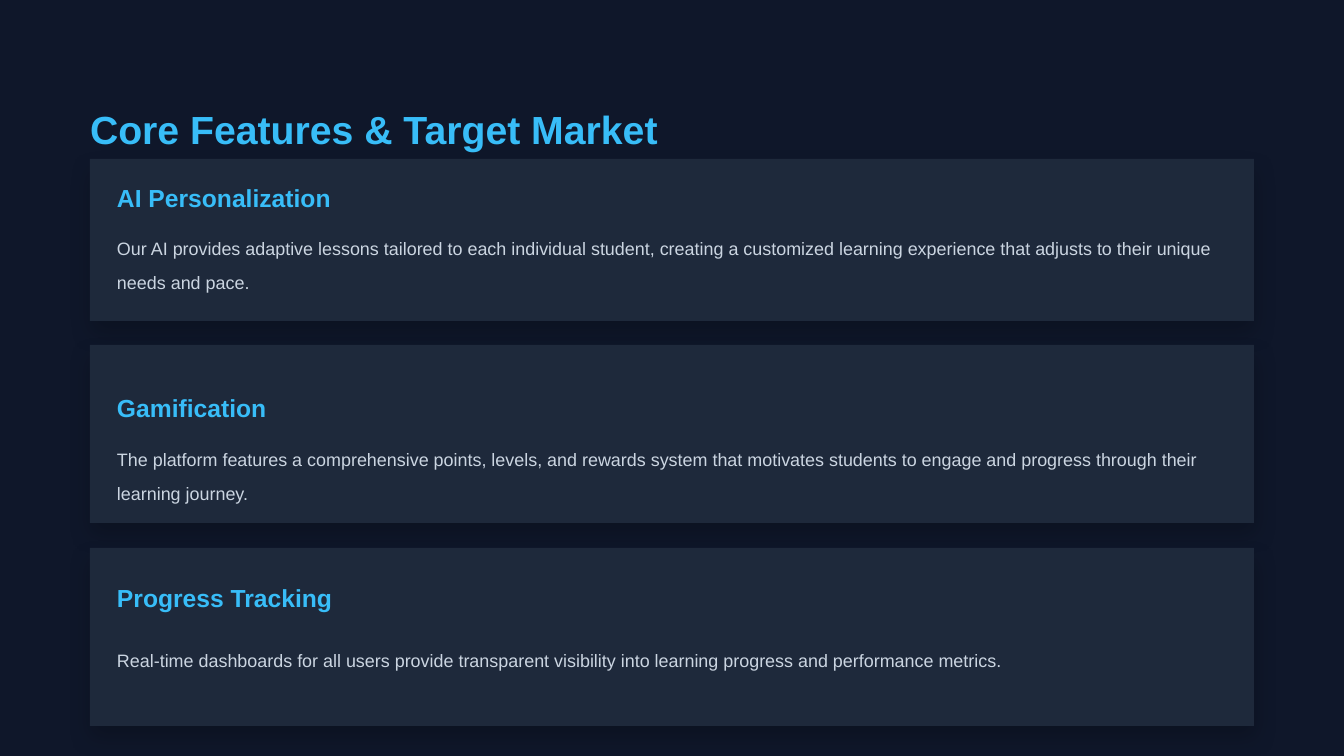
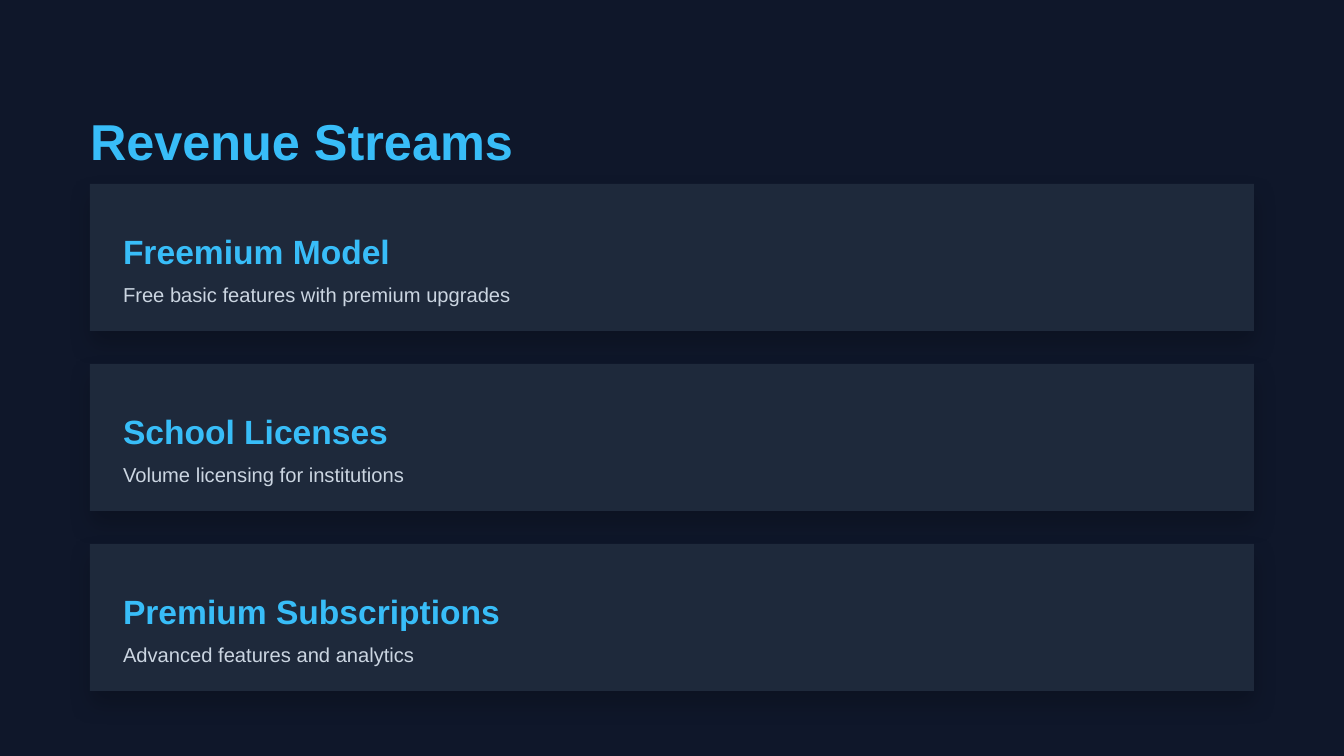
import lxml.etree
import pptx
import pptx.dml.color
import pptx.enum.shapes
import pptx.enum.text
import pptx.oxml
import pptx.oxml.ns
import pptx.util

PX = 914400 / 134.4  # EMU in one px
INK = {"back": "0F172A", "card": "1E293B", "head": "38BDF8", "body": "CBD5E1"}
LEFT, WIDE = 90, 1164

SHADE = (
    f'<a:effectLst {pptx.oxml.ns.nsdecls("a")}>'
    '<a:outerShdw blurRad="152400" dist="76200" dir="5400000" rotWithShape="0">'
    '<a:srgbClr val="000000"><a:alpha val="20000"/></a:srgbClr>'
    '</a:outerShdw></a:effectLst>'
)

# Each card: top, height, head top, body top, head, body
SLIDES = [
    {
        "title": "Core Features & Target Market",
        "sizes": {"title": (21, 33.6), "head": (13.2, 21.1), "body": (9.6, 17.9)},
        "high": {"title": 47, "head": 30, "body": 50},
        "left": 117, "wide": 1111,
        "cards": [
            (159, 162, 173, 226, "AI Personalization",
             "Our AI provides adaptive lessons tailored to each individual student, "
             "creating a customized learning experience that adjusts to their "
             "unique needs and pace."),
            (345, 178, 383, 437, "Gamification",
             "The platform features a comprehensive points, levels, and rewards "
             "system that motivates students to engage and progress through their "
             "learning journey."),
            (548, 178, 573, 638, "Progress Tracking",
             "Real-time dashboards for all users provide transparent visibility "
             "into learning progress and performance metrics."),
        ],
    },
    {
        "title": "Revenue Streams",
        "sizes": {"title": (27, 43.2), "head": (18, 28.8), "body": (10.8, 20.2)},
        "high": {"title": 60, "head": 40, "body": 28},
        "left": 123, "wide": 1120,
        "cards": [
            (top, 147, top + 34, top + 85, head, body)
            for top, (head, body) in zip(range(184, 545, 180), [
                ("Freemium Model", "Free basic features with premium upgrades"),
                ("School Licenses", "Volume licensing for institutions"),
                ("Premium Subscriptions", "Advanced features and analytics"),
            ])
        ],
    },
]


def emu(*sizes):
    return [pptx.util.Emu(round(size * PX)) for size in sizes]


def write(shape, box, words, size, color):
    """Place a shape and fill it with one left-aligned paragraph."""
    for name, value in zip(("left", "top", "width", "height"), emu(*box)):
        setattr(shape, name, value)
    frame = shape.text_frame
    form = {"margin_left": 0, "margin_top": 0, "margin_right": 0,
            "margin_bottom": 0, "word_wrap": True,
            "auto_size": pptx.enum.text.MSO_AUTO_SIZE.NONE,
            "vertical_anchor": pptx.enum.text.MSO_ANCHOR.TOP}
    for name, value in form.items():
        setattr(frame, name, value)
    para = frame.paragraphs[0]
    para.alignment = pptx.enum.text.PP_ALIGN.LEFT
    para.line_spacing = pptx.util.Pt(size[1])
    run = para.add_run()
    run.text = words
    font = {"name": "Arial", "size": pptx.util.Pt(size[0]), "bold": color == "head"}
    for name, value in font.items():
        setattr(run.font, name, value)
    run.font.color.rgb = pptx.dml.color.RGBColor.from_string(INK[color])


prs = pptx.Presentation()
prs.slide_width, prs.slide_height = emu(1344, 756)
back = prs.slide_master.background.fill
back.solid()
back.fore_color.rgb = pptx.dml.color.RGBColor.from_string(INK["back"])

for page in SLIDES:
    slide = prs.slides.add_slide(prs.slide_layouts.get_by_name("Title Only"))
    sizes, high = page["sizes"], page["high"]
    write(slide.shapes.title, (LEFT, 90, 1188, high["title"]),
          page["title"], sizes["title"], "head")

    for top, tall, *tops, head, body in page["cards"]:
        card = slide.shapes.add_shape(
            pptx.enum.shapes.MSO_SHAPE.RECTANGLE, *emu(LEFT, top, WIDE, tall))
        card.fill.solid()
        card.fill.fore_color.rgb = pptx.dml.color.RGBColor.from_string(INK["card"])
        card.line.fill.background()
        card._element.spPr.append(lxml.etree.fromstring(SHADE))

        for kind, y, words in zip(("head", "body"), tops, (head, body)):
            box = (page["left"], y, page["wide"], high[kind])
            write(slide.shapes.add_textbox(*emu(*box)), box,
                  words, sizes[kind], kind)

prs.save("out.pptx")
